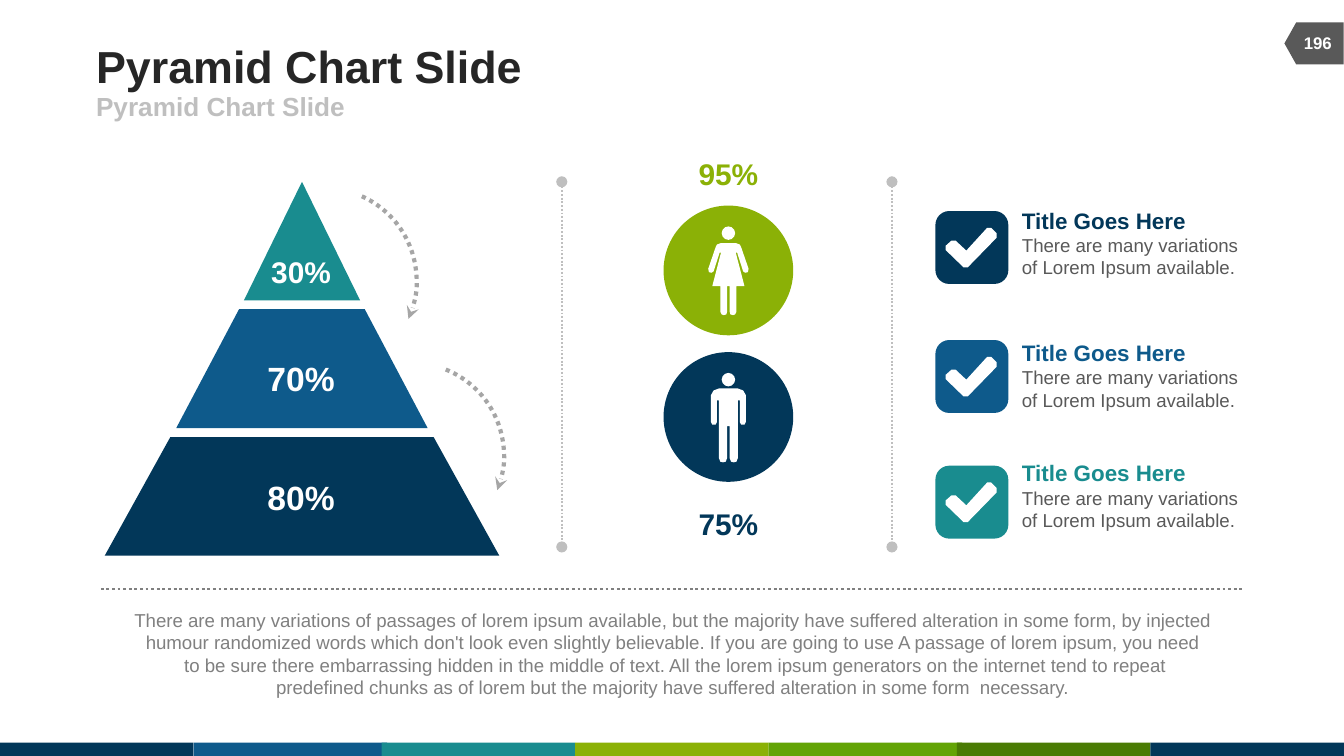
"""Build a pyramid chart slide with two figures, three checked points and a summary."""
import pptx
import pptx.dml.color
import pptx.enum.dml
import pptx.enum.shapes
import pptx.enum.text
import pptx.oxml.ns
import pptx.util
from lxml import etree

RGB = pptx.dml.color.RGBColor
NAVY = RGB(0x02, 0x37, 0x59)
BLUE = RGB(0x0E, 0x5A, 0x8B)
TEAL = RGB(0x19, 0x8C, 0x8F)
LIME = RGB(0x8B, 0xB1, 0x06)
GREEN = RGB(0x63, 0xA4, 0x06)
MOSS = RGB(0x4A, 0x7B, 0x04)
INK = RGB(0x26, 0x26, 0x26)
SLATE = RGB(0x59, 0x59, 0x59)
GREY = RGB(0x80, 0x80, 0x80)
ASH = RGB(0xA6, 0xA6, 0xA6)
SILVER = RGB(0xBF, 0xBF, 0xBF)
WHITE = RGB(0xFF, 0xFF, 0xFF)

KIND = pptx.enum.shapes.MSO_SHAPE
DASH = pptx.enum.dml.MSO_LINE
ALIGN = pptx.enum.text.PP_ALIGN
ANCHOR = pptx.enum.text.MSO_ANCHOR
qn = pptx.oxml.ns.qn

COLS = 100
ROWS = COLS * 9 / 16
deck = pptx.Presentation()
deck.slide_width = pptx.util.Inches(10)
deck.slide_height = deck.slide_width * 9 // 16
cell = deck.slide_width / COLS
slide = deck.slides.add_slide(deck.slide_layouts[5])
shapes = slide.shapes


def draw(kind, box, fill):
    shape = shapes.add_shape(kind, *[int(n * cell) for n in box])
    shape.shadow.inherit = False
    shape.line.fill.background()
    if fill is None:
        shape.fill.background()
    else:
        shape.fill.solid()
        shape.fill.fore_color.rgb = fill
    return shape


def write(box, lines, align=ALIGN.CENTER, anchor=ANCHOR.TOP, inset=0, wrap=True, shape=None):
    shape = shape or shapes.add_textbox(0, 0, 0, 0)
    for name, n in zip(("left", "top", "width", "height"), box):
        setattr(shape, name, int(n * cell))
    frame = shape.text_frame
    form = {"word_wrap": wrap, "vertical_anchor": anchor,
            "auto_size": pptx.enum.text.MSO_AUTO_SIZE.NONE,
            "margin_left": int(inset * cell), "margin_right": int(inset * cell),
            "margin_top": int(inset * cell / 2), "margin_bottom": int(inset * cell / 2)}
    for name, value in form.items():
        setattr(frame, name, value)
    for i, (text, size, color, bold) in enumerate(lines):
        para = frame.add_paragraph() if i else frame.paragraphs[0]
        para.text = text
        para.alignment = align
        for run in para.runs:
            style = {"name": "Arial", "size": pptx.util.Pt(size), "bold": bold}
            for name, value in style.items():
                setattr(run.font, name, value)
            run.font.color.rgb = color


bands = [NAVY, BLUE, TEAL, LIME, GREEN, MOSS, NAVY]
lefts = [0, 14.4, 28.4, 42.8, 57.2, 71.2, 85.6]
for left, color in zip(lefts, bands):
    draw(KIND.RECTANGLE, (left, ROWS - 1, 14.4, 1), color)

tab = draw(KIND.FLOWCHART_OFFPAGE_CONNECTOR, (96.2, 1.03, 3.14, 4.4), SLATE)
tab.rotation = 90
write((95.95, 1.7, 4.2, 3), [("196", 9, WHITE, True)], anchor=ANCHOR.MIDDLE, inset=1)

name = "Pyramid Chart Slide"
write((7.15, 2.9, 61.7, 3.9), [(name, 24, INK, True)], ALIGN.LEFT, ANCHOR.MIDDLE, shape=shapes.title)
write((7.15, 6.8, 45, 2.2), [(name, 14, SILVER, True)], ALIGN.LEFT, ANCHOR.MIDDLE)

mid = 22.47
tiers = [
    (13.53, 22.35, 0, 4.32, TEAL, "30%", 16, 18.85),
    (23, 31.85, 4.67, 9.35, BLUE, "70%", 18, 26.55),
    (32.53, 41.35, 9.8, 14.68, NAVY, "80%", 18, 35.4),
]
forms = [([(mid - a, top), (mid + a, top), (mid + b, foot), (mid - b, foot)], color)
         for top, foot, a, b, color, *rest in tiers]

axis = 54.2
woman = [(0, 18.1), (0.6, 18.1), (0.85, 18.2), (0.95, 18.4), (1.5, 20), (1.45, 20.25),
         (1.25, 20.3), (1.1, 20.2), (0.65, 18.8), (0.55, 18.8), (1.2, 21.3), (0.6, 21.3),
         (0.6, 23.2), (0.5, 23.4), (0.35, 23.45), (0.15, 23.4), (0.1, 23.2), (0.1, 21.3), (0, 21.3)]
man = [(0, 28.9), (0.7, 28.9), (1.1, 29.05), (1.3, 29.4), (1.3, 31.4), (1.2, 31.6),
       (0.95, 31.6), (0.85, 31.4), (0.85, 29.8), (0.7, 29.8), (0.7, 34.1), (0.6, 34.35),
       (0.4, 34.4), (0.2, 34.35), (0.1, 34.1), (0.1, 31.7), (0, 31.7)]
for half, disc, head, color, text, top in [
    (woman, 15.3, 16.85, LIME, "95%", 11.6),
    (man, 26.2, 27.75, NAVY, "75%", 37.6),
]:
    draw(KIND.OVAL, (axis - 4.83, disc, 9.65, 9.65), color)
    draw(KIND.OVAL, (axis - 0.5, head, 1, 1), WHITE)
    forms.append(([(axis + x, y) for x, y in half]
                  + [(axis - x, y) for x, y in reversed(half)], WHITE))
    write((axis - 2.35, top, 4.7, 2.7), [(text, 16, color, True)], wrap=False)

tick = [(4.55, 1.65), (4.15, 1.25), (3.85, 1.25), (2.3, 2.95), (1.5, 2.2), (1.2, 2.2),
        (0.75, 2.6), (0.75, 2.9), (2.1, 4.2), (2.4, 4.2), (4.55, 2)]
note = "There are many variations \vof Lorem Ipsum available."
for top, line, color in [(15.7, 14.9, NAVY), (25.3, 24.75, BLUE), (34.65, 33.7, TEAL)]:
    badge = draw(KIND.ROUNDED_RECTANGLE, (69.6, top, 5.43, 5.43), color)
    badge.adjustments[0] = 0.19
    forms.append(([(69.6 + x, top + y) for x, y in tick], WHITE))
    write((75.05, line, 19.9, 6.4),
          [("Title Goes Here", 12, color, True), (note, 10, SLATE, False)], ALIGN.LEFT, inset=1)

for points, color in forms:
    fine = [(x * 100, y * 100) for x, y in points]
    pen = shapes.build_freeform(*fine[0], scale=cell / 100)
    pen.add_line_segments(fine[1:], close=True)
    shape = pen.convert_to_shape()
    shape.shadow.inherit = False
    shape.fill.solid()
    shape.fill.fore_color.rgb = color
    shape.line.fill.background()

for *rest, text, size, top in tiers:
    write((mid - 2.67, top, 5.2, 2.7 if size == 16 else 3.1), [(text, size, WHITE, True)],
          anchor=ANCHOR.BOTTOM, wrap=False)

strokes = []
for left, top, turn in [(17.2, 14, 24.2), (23.7, 27, 21.9)]:
    arc = draw(KIND.ARC, (left, top, 13.8, 13.8), None)
    arc.rotation = turn
    strokes.append((arc, ASH, 2.25, {"tailEnd": "stealth"}))

for ends, color, width, tips in [
    ((41.8, 13.53, 41.8, 40.7), SILVER, 1, {"headEnd": "oval", "tailEnd": "oval"}),
    ((66.37, 13.53, 66.37, 40.7), SILVER, 1, {"headEnd": "oval", "tailEnd": "oval"}),
    ((7.5, 43.83, 92.5, 43.83), GREY, 1.5, {}),
]:
    rule = shapes.add_connector(pptx.enum.shapes.MSO_CONNECTOR.STRAIGHT, *[int(n * cell) for n in ends])
    strokes.append((rule, color, width, tips))

for shape, color, width, tips in strokes:
    shape.line.color.rgb = color
    shape.line.width = pptx.util.Pt(width)
    shape.line.dash_style = DASH.ROUND_DOT
    props = shape._element.spPr
    for tip, kind in tips.items():
        etree.SubElement(props.find(qn("a:ln")), qn("a:" + tip), type=kind)
    if props.find(qn("a:effectLst")) is None:
        etree.SubElement(props, qn("a:effectLst"))

story = (
    "There are many variations of passages of lorem ipsum available, but the majority have suffered "
    "alteration in some form, by injected humour randomized words which don't look even slightly "
    "believable. If you are going to use A passage of lorem ipsum, you need\v"
    " to be sure there embarrassing hidden in the middle of text. All the lorem ipsum generators on "
    "the internet tend to repeat\v"
    "predefined chunks as of lorem but the majority have suffered alteration in some form  necessary."
)
write((7.55, 45.3, 84.9, 6.7), [(story, 10, GREY, False)])

deck.save("out.pptx")
